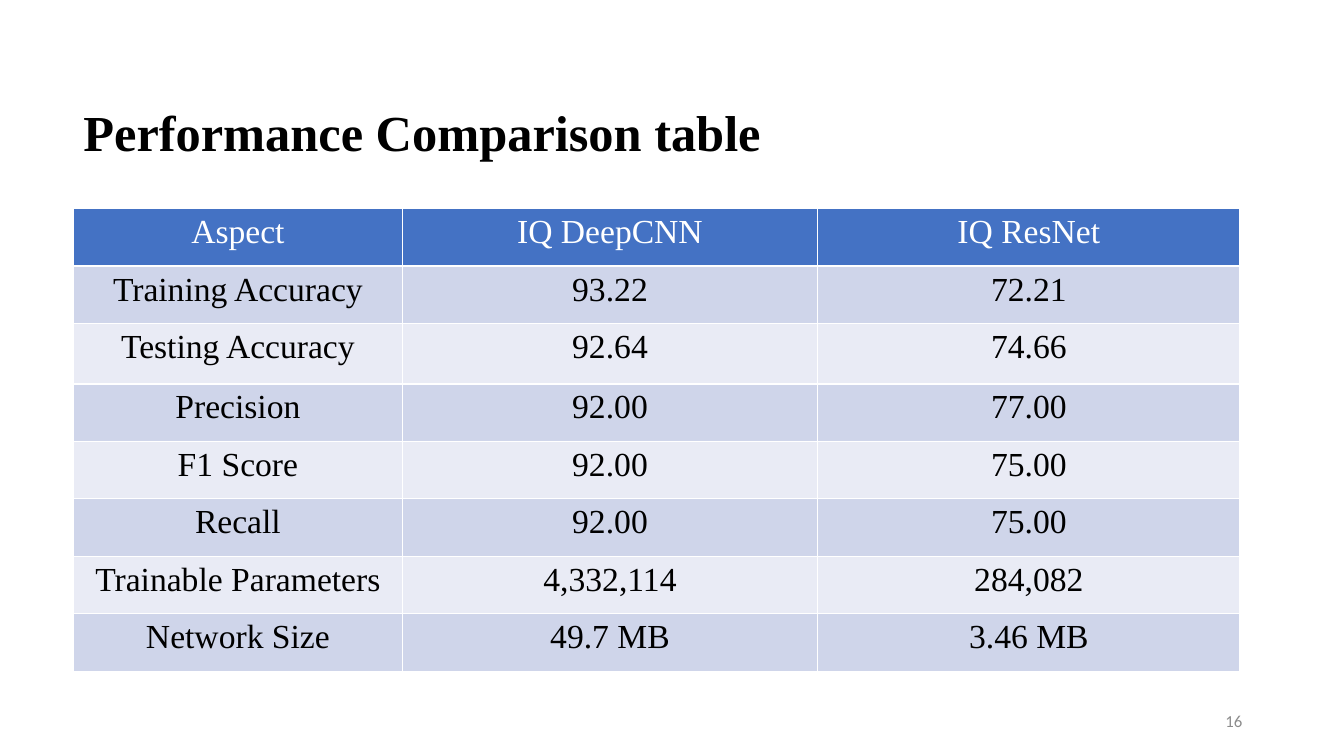
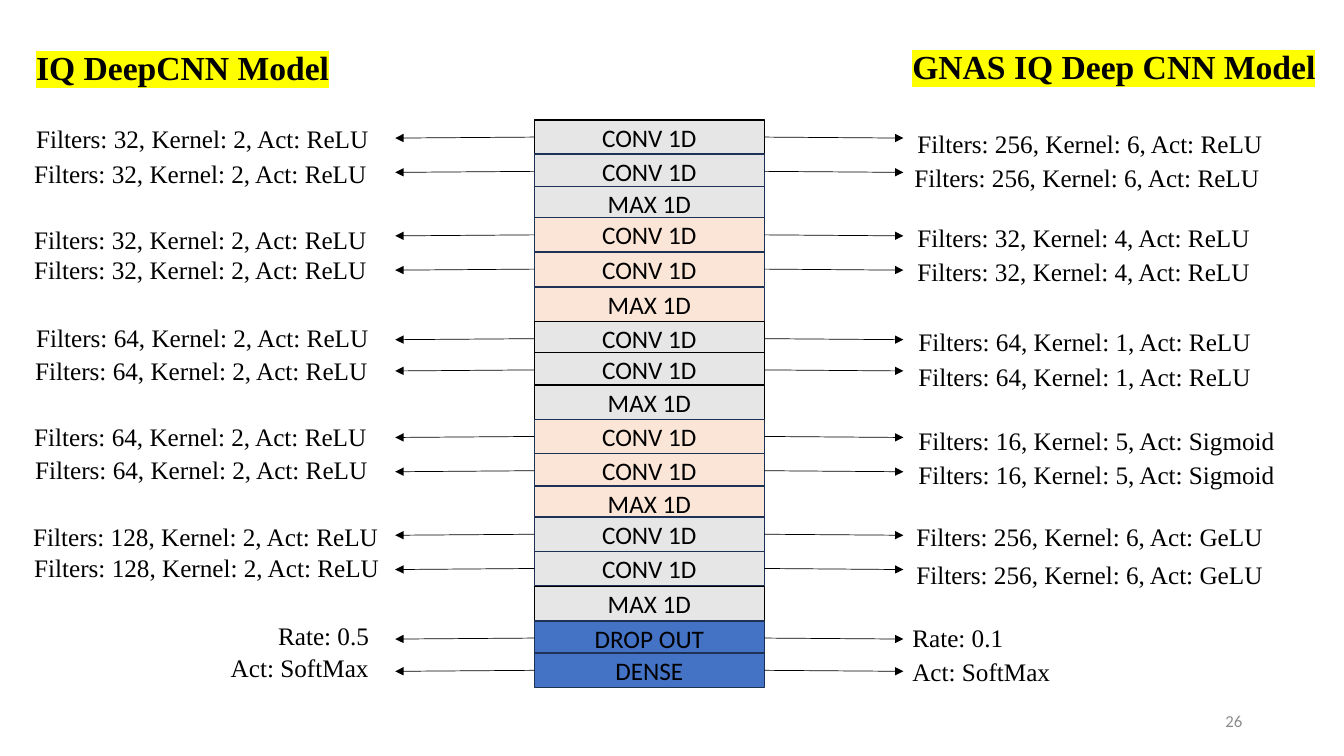
from dataclasses import dataclass

from lxml import etree
from pptx import Presentation
from pptx.dml.color import RGBColor
from pptx.enum.shapes import MSO_CONNECTOR, MSO_SHAPE
from pptx.enum.text import MSO_ANCHOR, MSO_AUTO_SIZE, PP_ALIGN
from pptx.oxml.ns import qn
from pptx.util import Inches, Pt

LEFT, CENTER, RIGHT = PP_ALIGN.LEFT, PP_ALIGN.CENTER, PP_ALIGN.RIGHT
TOP, MIDDLE = MSO_ANCHOR.TOP, MSO_ANCHOR.MIDDLE
FIT_SHAPE = MSO_AUTO_SIZE.SHAPE_TO_FIT_TEXT
RECTANGLE, STRAIGHT = MSO_SHAPE.RECTANGLE, MSO_CONNECTOR.STRAIGHT
LEFT_SIDE, RIGHT_SIDE = 1, 3


@dataclass(frozen=True)
class Theme:
    serif: str = "Times New Roman"
    sans: str = "Calibri"
    black: str = "000000"
    white: str = "FFFFFF"
    muted: str = "8C8C8C"
    blue: str = "4472C4"
    navy: str = "1E3256"
    gray: str = "E7E6E6"
    peach: str = "FBE5D6"
    band_dark: str = "CFD5EA"
    band_light: str = "E9EBF5"
    highlight: str = "FFFF00"
    title_size: int = 36
    heading_size: int = 24
    body_size: int = 18
    footer_size: int = 12


THEME = Theme()

# Text formats
TITLE = {"name": THEME.serif, "size": Pt(THEME.title_size), "bold": True}
HEADING = {"name": THEME.serif, "size": Pt(THEME.heading_size), "bold": True}
CELL = {"name": THEME.serif, "size": Pt(THEME.heading_size), "bold": False}
LABEL = {"name": THEME.serif, "size": Pt(THEME.body_size)}
LAYER = {"name": THEME.sans, "size": Pt(THEME.body_size)}
FOOTER = {"name": THEME.sans, "size": Pt(THEME.footer_size)}

# Performance table
COLUMN_WIDTHS = (3.26, 4.12, 4.19)
ROW_HEIGHTS = (0.57, 0.57, 0.6, 0.57, 0.57, 0.57, 0.57, 0.57)
PERFORMANCE = (
    ("Aspect", "IQ DeepCNN", "IQ ResNet"),
    ("Training Accuracy", "93.22", "72.21"),
    ("Testing Accuracy", "92.64", "74.66"),
    ("Precision", "92.00", "77.00"),
    ("F1 Score", "92.00", "75.00"),
    ("Recall", "92.00", "75.00"),
    ("Trainable Parameters", "4,332,114", "284,082"),
    ("Network Size", "49.7 MB", "3.46 MB"),
)

# Layer stack: top, name, fill, outline
STACK_LEFT, LAYER_WIDTH, LAYER_HEIGHT = 5.3, 2.28, 0.34
ARROW_LENGTH, ARROW_DROP = 1.38, 0.01
LAYERS = (
    (1.19, "CONV 1D", THEME.gray, THEME.black),
    (1.53, "CONV 1D", THEME.gray, THEME.navy),
    (1.85, "MAX 1D", THEME.gray, THEME.navy),
    (2.16, "CONV 1D", THEME.peach, THEME.navy),
    (2.5, "CONV 1D", THEME.peach, THEME.navy),
    (2.85, "MAX 1D", THEME.peach, THEME.navy),
    (3.19, "CONV 1D", THEME.gray, THEME.black),
    (3.5, "CONV 1D", THEME.gray, THEME.black),
    (3.82, "MAX 1D", THEME.gray, THEME.black),
    (4.16, "CONV 1D", THEME.peach, THEME.navy),
    (4.5, "CONV 1D", THEME.peach, THEME.navy),
    (4.82, "MAX 1D", THEME.peach, THEME.navy),
    (5.13, "CONV 1D", THEME.gray, THEME.navy),
    (5.47, "CONV 1D", THEME.gray, THEME.navy),
    (5.82, "MAX 1D", THEME.gray, THEME.black),
    (6.16, "DROP OUT", THEME.blue, THEME.navy),
    (6.48, "DENSE", THEME.blue, THEME.navy),
)

# Layer settings of each model: left, top, text
LABEL_WIDTH, LABEL_HEIGHT = 3.88, 0.4
DEEPCNN_SETTINGS = (
    (0.26, 1.17, "Filters: 32, Kernel: 2, Act: ReLU"),
    (0.24, 1.52, "Filters: 32, Kernel: 2, Act: ReLU"),
    (0.24, 2.18, "Filters: 32, Kernel: 2, Act: ReLU"),
    (0.24, 2.47, "Filters: 32, Kernel: 2, Act: ReLU"),
    (0.26, 3.15, "Filters: 64, Kernel: 2, Act: ReLU"),
    (0.25, 3.48, "Filters: 64, Kernel: 2, Act: ReLU"),
    (0.24, 4.13, "Filters: 64, Kernel: 2, Act: ReLU"),
    (0.25, 4.46, "Filters: 64, Kernel: 2, Act: ReLU"),
    (0.23, 5.12, "Filters: 128, Kernel: 2, Act: ReLU"),
    (0.24, 5.43, "Filters: 128, Kernel: 2, Act: ReLU"),
    (2.66, 6.1, "Rate: 0.5"),
    (2.19, 6.42, "Act: SoftMax"),
)
GNAS_SETTINGS = (
    (9.0, 1.22, "Filters: 256, Kernel: 6, Act: ReLU"),
    (8.97, 1.56, "Filters: 256, Kernel: 6, Act: ReLU"),
    (9.0, 2.16, "Filters: 32, Kernel: 4, Act: ReLU"),
    (9.0, 2.49, "Filters: 32, Kernel: 4, Act: ReLU"),
    (9.01, 3.19, "Filters: 64, Kernel: 1, Act: ReLU"),
    (9.01, 3.54, "Filters: 64, Kernel: 1, Act: ReLU"),
    (9.01, 4.17, "Filters: 16, Kernel: 5, Act: Sigmoid"),
    (9.01, 4.51, "Filters: 16, Kernel: 5, Act: Sigmoid"),
    (8.99, 5.12, "Filters: 256, Kernel: 6, Act: GeLU"),
    (8.99, 5.5, "Filters: 256, Kernel: 6, Act: GeLU"),
    (8.95, 6.12, "Rate: 0.1"),
    (8.95, 6.46, "Act: SoftMax"),
)


def rgb(color):
    return RGBColor.from_string(color)


def write(frame, text, text_format, color=THEME.black, align=LEFT):
    """Fill the first paragraph of a text frame and return its run."""
    paragraph = frame.paragraphs[0]
    paragraph.alignment = align
    run = paragraph.add_run()
    run.text = text
    for attribute, value in text_format.items():
        setattr(run.font, attribute, value)
    run.font.color.rgb = rgb(color)
    return run


def add_text(slide, box, text, text_format, color=THEME.black, align=LEFT, anchor=TOP):
    frame = slide.shapes.add_textbox(*map(Inches, box)).text_frame
    frame.word_wrap = True
    frame.vertical_anchor = anchor
    if anchor == TOP:
        frame.auto_size = FIT_SHAPE
    return write(frame, text, text_format, color, align), frame


def add_title(slide, text):
    _, frame = add_text(slide, (0.73, 0.87, 7.4, 0.94), text, TITLE, anchor=MIDDLE)
    frame.paragraphs[0].line_spacing = 0.9


def add_page_number(slide, number):
    add_text(slide, (9.42, 6.95, 3, 0.4), str(number), FOOTER,
             THEME.muted, RIGHT, MIDDLE)


def add_model_heading(slide, box, text):
    run, _ = add_text(slide, box, text, HEADING)
    fill = run.font.fill._xPr.find(qn("a:solidFill"))
    highlight = etree.Element(qn("a:highlight"))
    etree.SubElement(highlight, qn("a:srgbClr"), val=THEME.highlight)
    fill.addnext(highlight)


def set_cell_borders(cell, color, width):
    properties = cell._tc.get_or_add_tcPr()
    for index, side in enumerate(("lnL", "lnR", "lnT", "lnB")):
        border = etree.Element(qn(f"a:{side}"), w=str(int(Pt(width))))
        fill = etree.SubElement(border, qn("a:solidFill"))
        etree.SubElement(fill, qn("a:srgbClr"), val=color)
        properties.insert(index, border)


def add_performance_table(slide):
    size = sum(COLUMN_WIDTHS), sum(ROW_HEIGHTS)
    table = slide.shapes.add_table(len(PERFORMANCE), len(COLUMN_WIDTHS),
                                   *map(Inches, (0.73, 2.07, *size))).table
    table.first_row = table.horz_banding = False
    for column, width in zip(table.columns, COLUMN_WIDTHS):
        column.width = Inches(width)
    for row, height in zip(table.rows, ROW_HEIGHTS):
        row.height = Inches(height)
    for row_index, values in enumerate(PERFORMANCE):
        is_header = row_index == 0
        band = THEME.band_dark if row_index % 2 else THEME.band_light
        for column_index, value in enumerate(values):
            cell = table.cell(row_index, column_index)
            cell.fill.solid()
            cell.fill.fore_color.rgb = rgb(THEME.blue if is_header else band)
            write(cell.text_frame, value, CELL,
                  THEME.white if is_header else THEME.black, CENTER)
            set_cell_borders(cell, THEME.white, 1)


def add_layer(slide, top, name, fill, outline):
    box = STACK_LEFT, top, LAYER_WIDTH, LAYER_HEIGHT
    layer = slide.shapes.add_shape(RECTANGLE, *map(Inches, box))
    layer.shadow.inherit = False
    layer.fill.solid()
    layer.fill.fore_color.rgb = rgb(fill)
    layer.line.color.rgb = rgb(outline)
    layer.line.width = Pt(1)
    layer.text_frame.vertical_anchor = MIDDLE
    write(layer.text_frame, name, LAYER, align=CENTER)
    return layer


def add_arrow(slide, layer, side):
    """Point from the middle of a layer's side towards its setting."""
    middle = layer.top + layer.height // 2
    if side == LEFT_SIDE:
        start, reach = layer.left, -Inches(ARROW_LENGTH)
    else:
        start, reach = layer.left + layer.width, Inches(ARROW_LENGTH)
    arrow = slide.shapes.add_connector(STRAIGHT, start, middle, start + reach,
                                       middle + Inches(ARROW_DROP))
    arrow.begin_connect(layer, side)
    arrow.line.color.rgb = rgb(THEME.black)
    arrow.line.width = Pt(0.5)
    etree.SubElement(arrow.line._get_or_add_ln(), qn("a:tailEnd"), type="triangle")
    etree.SubElement(arrow._element.spPr, qn("a:effectLst"))


def build_comparison(slide):
    add_performance_table(slide)
    add_title(slide, "Performance Comparison table")
    add_page_number(slide, 16)


def build_models(slide):
    # Layers, with arrows to both models except at pooling
    layers = [add_layer(slide, *values) for values in LAYERS]
    for layer in layers:
        if layer.text_frame.text != "MAX 1D":
            for side in (LEFT_SIDE, RIGHT_SIDE):
                add_arrow(slide, layer, side)

    # Model headings and settings
    add_model_heading(slide, (0.26, 0.42, 3.27, 0.5), "IQ DeepCNN Model")
    add_model_heading(slide, (8.95, 0.41, 4.26, 0.5), "GNAS IQ Deep CNN Model")
    for left, top, text in DEEPCNN_SETTINGS + GNAS_SETTINGS:
        add_text(slide, (left, top, LABEL_WIDTH, LABEL_HEIGHT), text, LABEL)
    add_page_number(slide, 26)


def main():
    deck = Presentation()
    deck.slide_width, deck.slide_height = Inches(13.33), Inches(7.5)
    blank = deck.slide_layouts[6]
    for build in (build_comparison, build_models):
        build(deck.slides.add_slide(blank))
    deck.save("out.pptx")


if __name__ == "__main__":
    main()
